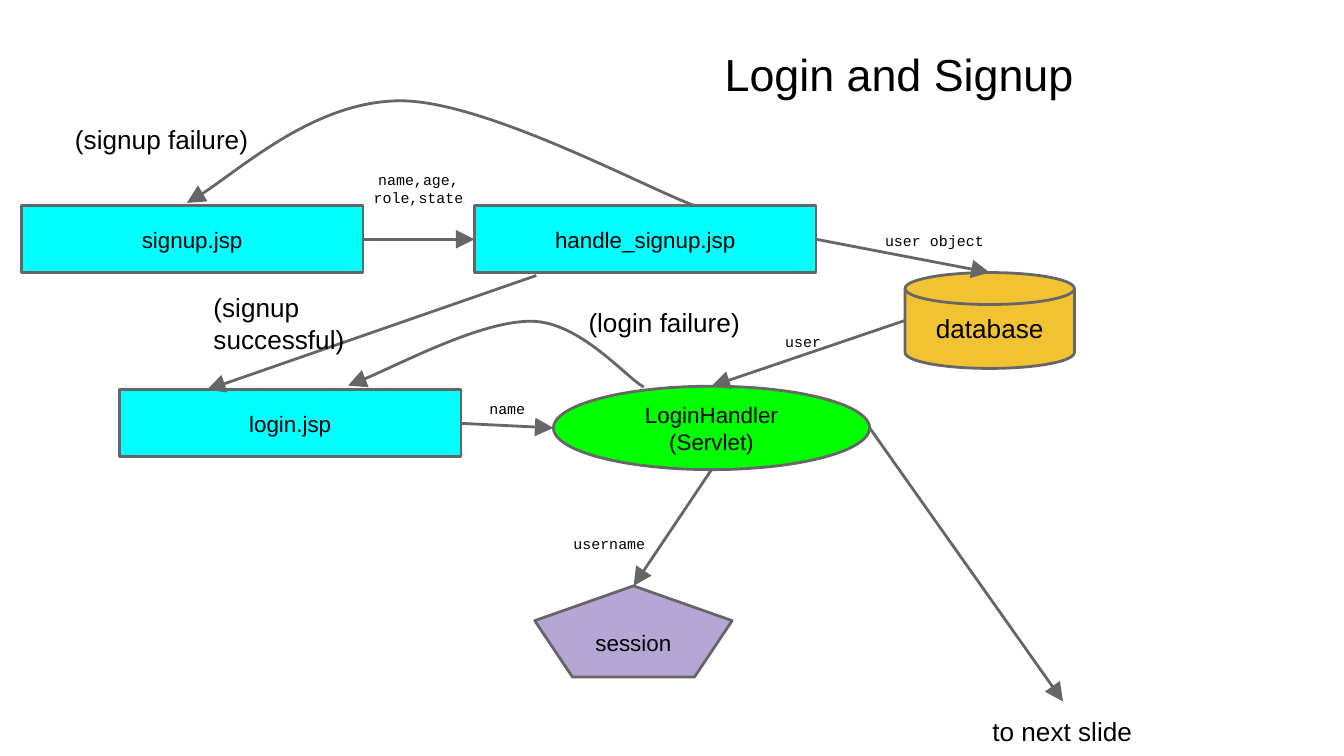
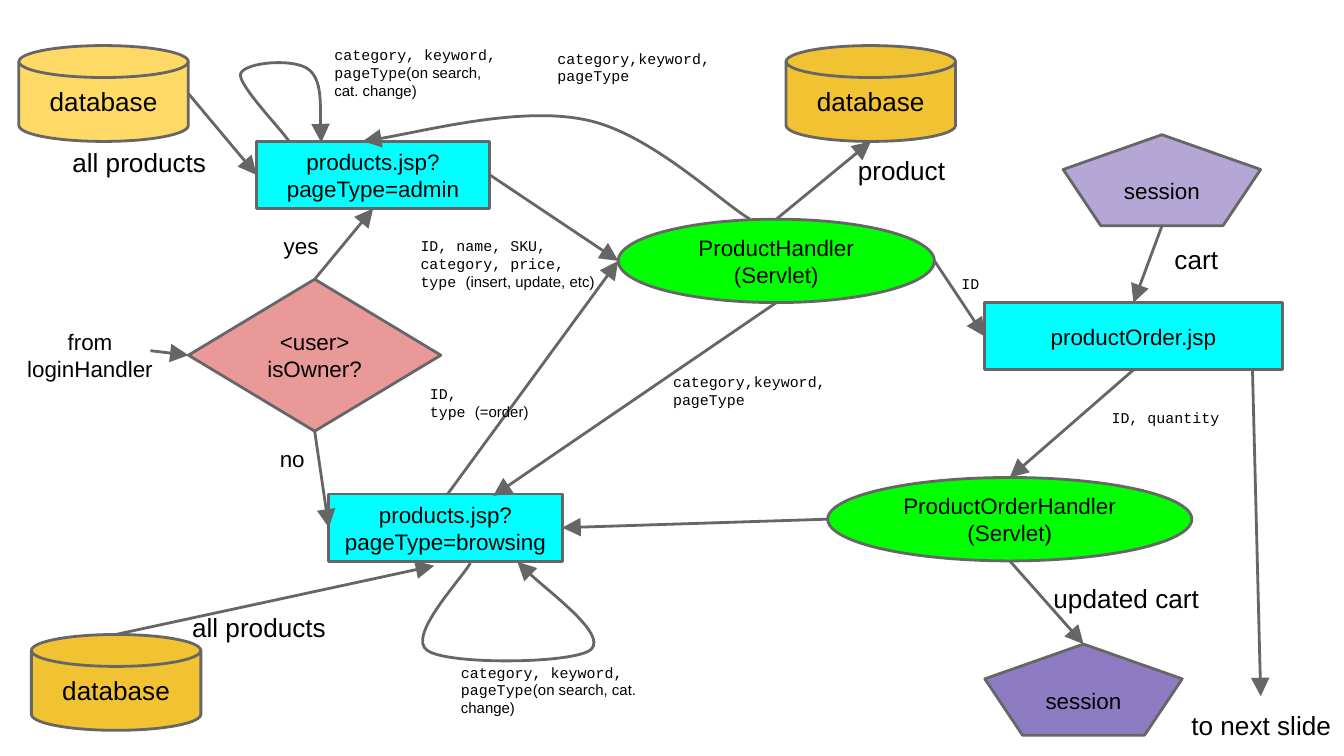
from dataclasses import dataclass

from lxml import etree
from pptx import Presentation
from pptx.dml.color import RGBColor
from pptx.enum import shapes, text
from pptx.oxml.ns import qn
from pptx.util import Pt

# Shared style
COLORS = {
    "ink": "000000", "line": "666666", "page": "00FFFF", "servlet": "00FF00",
    "gold": "F1C232", "pale_gold": "FFD966", "lilac": "B4A7D6",
    "violet": "8E7CC3", "decision": "EA9999",
}
SANS, MONO = "Arial", "Courier New"
INSET, LINE_WIDTH = 7.2, 1.5
SHAPE = shapes.MSO_SHAPE
ALIGN = text.PP_ALIGN
Point = tuple[float, float]


@dataclass(frozen=True)
class Kind:
    shape: SHAPE
    fill: str
    width: float
    height: float
    size: float = 12


PAGE = Kind(SHAPE.RECTANGLE, "page", 183, 36)
SERVLET = Kind(SHAPE.FLOWCHART_CONNECTOR, "servlet", 169.4, 44.7)
DATABASE = Kind(SHAPE.FLOWCHART_MAGNETIC_DISK, "gold", 90.8, 51.4, 14)
SESSION = Kind(SHAPE.REGULAR_PENTAGON, "lilac", 105.8, 48.8)
DECISION = Kind(SHAPE.DIAMOND, "decision", 135.2, 81.4)


@dataclass(frozen=True)
class Node:
    kind: Kind
    left: float
    top: float
    words: str
    width: float = 0
    fill: str = ""

    @property
    def span(self) -> float:
        return self.width or self.kind.width

    def at(self, side: str) -> Point:
        """Middle of one side of the node."""
        fx, fy = {"top": (.5, 0), "bottom": (.5, 1),
                  "left": (0, .5), "right": (1, .5)}[side]
        return self.left + fx * self.span, self.top + fy * self.kind.height


@dataclass(frozen=True)
class Label:
    left: float
    top: float
    width: float
    height: float
    words: str
    size: float = 14
    font: str = SANS
    align: ALIGN = ALIGN.LEFT


def rgb(name: str) -> RGBColor:
    return RGBColor.from_string(COLORS[name])


def write(frame, words: str, size: float, font: str, align: ALIGN,
          anchor=text.MSO_ANCHOR.TOP) -> None:
    """Fill a text frame; bracketed remarks in code labels are set in sans."""
    frame.word_wrap = True
    frame.auto_size = text.MSO_AUTO_SIZE.NONE
    frame.vertical_anchor = anchor
    frame.margin_left = frame.margin_right = Pt(INSET)
    frame.margin_top = frame.margin_bottom = Pt(INSET)
    frame.text = words
    for paragraph in frame.paragraphs:
        paragraph.alignment = align
        code, bracket, remark = paragraph.runs[0].text.partition("(")
        if font == MONO and bracket:
            paragraph.text = code
            paragraph.add_run().text = bracket + remark
        for index, run in enumerate(paragraph.runs):
            run.font.size = Pt(size)
            run.font.name = SANS if index else font
            run.font.color.rgb = rgb("ink")


def outline(shape) -> None:
    shape.line.color.rgb = rgb("line")
    shape.line.width = Pt(LINE_WIDTH)


def arrowhead(shape) -> None:
    """Grey stroke with a large triangle at its end and no shadow."""
    outline(shape)
    properties = shape.element.spPr
    etree.SubElement(properties.find(qn("a:ln")), qn("a:tailEnd"),
                     type="triangle", w="lg", len="lg")
    etree.SubElement(properties, qn("a:effectLst"))


def draw_node(slide, node: Node) -> None:
    shape = slide.shapes.add_shape(
        node.kind.shape, Pt(node.left), Pt(node.top),
        Pt(node.span), Pt(node.kind.height))
    shape.shadow.inherit = False
    shape.fill.solid()
    shape.fill.fore_color.rgb = rgb(node.fill or node.kind.fill)
    outline(shape)
    write(shape.text_frame, node.words, node.kind.size, SANS, ALIGN.CENTER,
          text.MSO_ANCHOR.MIDDLE)


def draw_arrow(slide, start: Point, end: Point) -> None:
    arrowhead(slide.shapes.add_connector(
        shapes.MSO_CONNECTOR.STRAIGHT, *(Pt(v) for v in start + end)))


def bezier(points: list[Point], t: float) -> Point:
    weights = ((1 - t) ** 3, 3 * t * (1 - t) ** 2, 3 * t * t * (1 - t), t ** 3)
    return (sum(w * p[0] for w, p in zip(weights, points)),
            sum(w * p[1] for w, p in zip(weights, points)))


def draw_curve(slide, points: list[Point]) -> None:
    """Start point, then three points for every Bezier segment."""
    pieces = [points[i:i + 4] for i in range(0, len(points) - 1, 3)]
    # Sampled points give the frame; true curves then replace the segments
    trace = [bezier(piece, step / 20) for piece in pieces for step in range(1, 21)]
    builder = slide.shapes.build_freeform(Pt(points[0][0]), Pt(points[0][1]))
    builder.add_line_segments([(Pt(x), Pt(y)) for x, y in trace], close=False)
    shape = builder.convert_to_shape()
    outline_path = shape.element.find(".//" + qn("a:path"))
    for segment in outline_path.findall(qn("a:lnTo")):
        outline_path.remove(segment)
    for piece in pieces:
        cubic = etree.SubElement(outline_path, qn("a:cubicBezTo"))
        for x, y in piece[1:]:
            etree.SubElement(cubic, qn("a:pt"), x=str(Pt(x) - shape.left),
                             y=str(Pt(y) - shape.top))
    shape.fill.background()
    arrowhead(shape)


def draw_label(slide, label: Label) -> None:
    box = slide.shapes.add_textbox(Pt(label.left), Pt(label.top),
                                   Pt(label.width), Pt(label.height))
    write(box.text_frame, label.words, label.size, label.font, label.align)


def draw_diagram(slide, nodes: list[Node], arrows: list[tuple[Point, Point]],
                 curves: list[list[Point]], labels: list[Label]) -> None:
    for node in nodes:
        draw_node(slide, node)
    for start, end in arrows:
        draw_arrow(slide, start, end)
    for points in curves:
        draw_curve(slide, points)
    for label in labels:
        draw_label(slide, label)


def code(left: float, top: float, width: float, words: str,
         align: ALIGN = ALIGN.LEFT) -> Label:
    return Label(left, top, width, 22.3, words, 8, MONO, align)


def next_slide(left: float, top: float) -> Label:
    return Label(left, top, 98.6, 32.4, "to next slide", align=ALIGN.CENTER)


deck = Presentation()
deck.slide_width, deck.slide_height = Pt(720), Pt(405)

# Slide 1: login and signup
login_slide = deck.slides.add_slide(deck.slide_layouts[5])
heading = login_slide.shapes.title
heading.left, heading.top, heading.width, heading.height = (
    Pt(v) for v in (381, 18, 288, 36))
write(heading.text_frame, "Login and Signup", 24, SANS, ALIGN.LEFT)

signup = Node(PAGE, 11.5, 110.2, "signup.jsp")
handle_signup = Node(PAGE, 254.2, 110.2, "handle_signup.jsp")
login = Node(PAGE, 64, 208.8, "login.jsp")
login_handler = Node(SERVLET, 296.5, 206.9, "LoginHandler\n(Servlet)")
user_session = Node(SESSION, 286.5, 313.9, "session")
user_database = Node(DATABASE, 484.8, 146, "database")

draw_diagram(
    login_slide,
    [signup, login_handler, user_session, user_database, handle_signup, login],
    [
        (signup.at("right"), handle_signup.at("left")),
        (handle_signup.at("right"), user_database.at("top")),
        (login.at("right"), login_handler.at("left")),
        (login_handler.at("bottom"), user_session.at("top")),
        (login_handler.at("right"), (569.5, 375.8)),
        ((287.3, 147.6), (110.9, 208.8)),
        (user_database.at("left"), login_handler.at("top")),
    ],
    [
        [(372.2, 110.2), (346.3, 100.8), (259.9, 54), (214.6, 54),
         (169.2, 54), (118.8, 99.4), (100.1, 108.7)],
        [(344.9, 207.4), (334.8, 201.6), (310.3, 172.1), (284.4, 172.1),
         (257.8, 172.1), (203, 200.9), (186.5, 206.6)],
    ],
    [
        code(175, 84.2, 98.6, "name,age,\nrole,state", ALIGN.CENTER),
        code(451.4, 116.8, 98.6, "user object", ALIGN.CENTER),
        code(222.5, 206.9, 98.6, "name", ALIGN.CENTER),
        code(277.2, 279.4, 98.6, "username", ALIGN.CENTER),
        code(381, 170.9, 98.6, "user", ALIGN.CENTER),
        next_slide(519.8, 375.8),
        Label(33.1, 59, 115.2, 22.3, "(signup failure)"),
        Label(308.2, 157, 115.2, 22.3, "(login failure)"),
        Label(107.3, 149, 115.2, 22.3, "(signup successful)"),
    ])

# Slide 2: products and orders
product_slide = deck.slides.add_slide(deck.slide_layouts[6])
admin = Node(PAGE, 137.4, 75.7, "products.jsp?\npageType=admin", 125)
browsing = Node(PAGE, 176.2, 264.7, "products.jsp?\npageType=browsing", 125)
order = Node(PAGE, 527.5, 162.2, "productOrder.jsp", 159.4)
product_handler = Node(SERVLET, 331.2, 117.4, "ProductHandler\n(Servlet)")
order_handler = Node(SERVLET, 443.4, 255.8, "ProductOrderHandler\n(Servlet)", 195.1)
admin_database = Node(DATABASE, 10.1, 24.4, "database", fill="pale_gold")
product_database = Node(DATABASE, 421.1, 24.4, "database")
browsing_database = Node(DATABASE, 16.8, 339.9, "database")
cart_session = Node(SESSION, 569.6, 72.2, "session")
updated_session = Node(SESSION, 527.6, 345.1, "session", fill="violet")
is_owner = Node(DECISION, 101, 149.6, "<user>\nisOwner?")

search_words = "category, keyword,\npageType(on search, cat. change)"
filter_words = "category,keyword,\npageType"

draw_diagram(
    product_slide,
    [admin, product_handler, admin_database, order, product_database, browsing,
     browsing_database, order_handler, updated_session, cart_session, is_owner],
    [
        ((80.6, 187.9), is_owner.at("left")),
        (is_owner.at("top"), admin.at("bottom")),
        (is_owner.at("bottom"), browsing.at("left")),
        (admin_database.at("right"), admin.at("left")),
        (product_handler.at("top"), product_database.at("bottom")),
        (admin.at("right"), product_handler.at("left")),
        (product_handler.at("right"), order.at("left")),
        (browsing_database.at("top"), (232.6, 303.1)),
        ((239.8, 264.7), product_handler.at("left")),
        (product_handler.at("bottom"), (264.2, 265.7)),
        (cart_session.at("bottom"), order.at("top")),
        (order.at("bottom"), order_handler.at("top")),
        (order_handler.at("left"), browsing.at("right")),
        (order_handler.at("bottom"), updated_session.at("top")),
        ((671, 198.7), (675.4, 373)),
    ],
    [
        [(401.8, 117.4), (386.6, 108.7), (347.8, 70.6), (313.2, 64.1),
         (278.6, 56.9), (214.6, 73.4), (194.4, 75.6)],
        [(252, 301.7), (247.7, 309.6), (217.4, 341.3), (229, 348.5),
         (239.8, 356.4), (308.9, 355.7), (316.8, 347.8),
         (324.7, 339.8), (283.7, 308.9), (277.2, 301)],
        [(154.8, 75.6), (150.5, 69.1), (127.4, 45.4), (128.9, 39.6),
         (131, 33.1), (158.4, 31), (165.6, 37.4),
         (172.8, 43.2), (171.4, 69.8), (172.1, 76.3)],
    ],
    [
        Label(0, 168.5, 96.5, 36, "from loginHandler", 12, align=ALIGN.CENTER),
        Label(133.2, 117.4, 56.2, 22.3, "yes", 12, align=ALIGN.CENTER),
        Label(77, 231.1, 159.1, 36, "no", 12, align=ALIGN.CENTER),
        code(485.3, 139.7, 69.1, "ID", ALIGN.CENTER),
        code(576.2, 211.7, 96.5, "ID, quantity", ALIGN.CENTER),
        code(223.2, 198.7, 124.6, "ID,\ntype (=order)"),
        code(218.2, 119.5, 124.6,
             "ID, name, SKU,\ncategory, price,\ntype (insert, update, etc)"),
        code(291.6, 19.1, 124.6, filter_words),
        code(353.5, 192.6, 124.6, filter_words),
        code(239.8, 348.1, 108.7, search_words),
        code(172.1, 17.3, 105.8, search_words),
        Label(95.8, 320.4, 169.2, 22.3, "all products"),
        Label(31.7, 71.3, 105.8, 46, "all products"),
        Label(622.1, 123.1, 90, 36, "cart"),
        Label(557.3, 304.6, 150, 36, "updated cart"),
        Label(452.5, 75.6, 101.2, 22.3, "product"),
        next_slide(626.4, 373),
    ])

deck.save("out.pptx")
